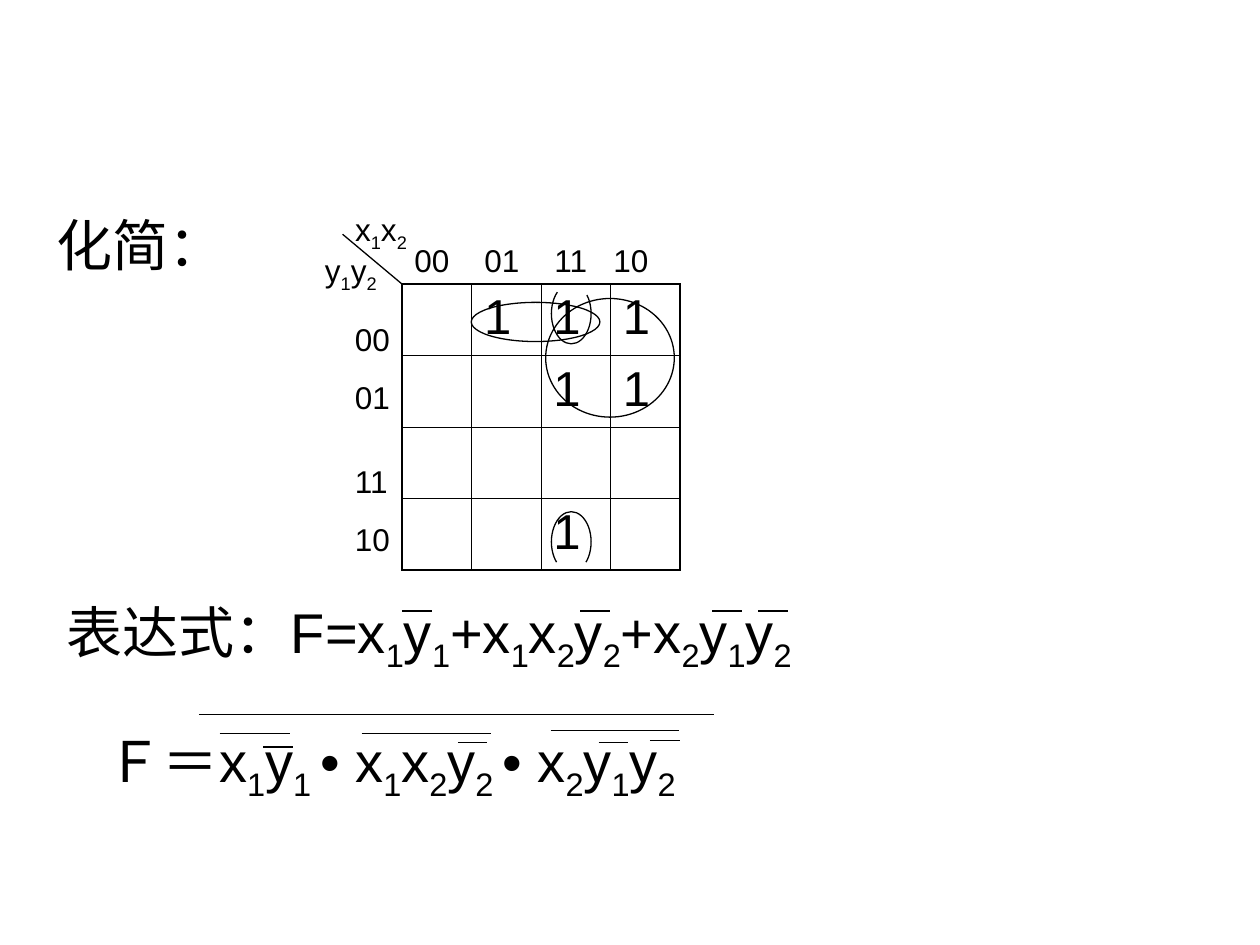
from lxml.etree import SubElement
from pptx import Presentation
from pptx.dml.color import RGBColor
from pptx.enum.shapes import MSO_CONNECTOR as Connector, MSO_SHAPE as Shape
from pptx.oxml.ns import qn
from pptx.util import Pt

COLORS = {"ink": "000000"}
FONT = "Arial"
INK = RGBColor.from_string(COLORS["ink"])
GRID_LEFT, GRID_TOP = 229.7, 162.3
CELL_WIDTH, CELL_HEIGHT = 39.7, 40.85
GRID_SIZE = 4
ONES = {(0, 1), (0, 2), (0, 3), (1, 2), (1, 3), (3, 2)}
THIN, THICK = 0.45, 1.08


def style_paragraph(paragraph, size):
    paragraph.font.size = Pt(size)
    paragraph.font.name = FONT
    paragraph.font.color.rgb = INK


def add_formula(paragraph, markup):
    for index, part in enumerate(markup.split("_")):
        if part:
            run = paragraph.add_run()
            run.text = part
            if index % 2:
                run._r.get_or_add_rPr().set("baseline", "-25000")


def add_tabs(paragraph, stops):
    tab_list = SubElement(paragraph._p.get_or_add_pPr(), qn("a:tabLst"))
    for stop in stops:
        SubElement(tab_list, qn("a:tab"), pos=str(Pt(stop)), algn="l")


def add_text(slide, left, top, width, height, size, lines, gaps=(), tabs=()):
    box = slide.shapes.add_textbox(Pt(left), Pt(top), Pt(width), Pt(height))
    frame = box.text_frame
    frame.word_wrap = True
    for index, line in enumerate(lines):
        paragraph = frame.add_paragraph() if index else frame.paragraphs[0]
        add_formula(paragraph, line)
        if index:
            paragraph.space_before = Pt(gaps[index - 1])
        if tabs:
            add_tabs(paragraph, tabs)
        style_paragraph(paragraph, size)


def add_line(slide, x1, y1, x2, y2):
    line = slide.shapes.add_connector(Connector.STRAIGHT, Pt(x1), Pt(y1), Pt(x2), Pt(y2))
    line.line.color.rgb = INK
    line.line.width = Pt(0.75)
    SubElement(line._element.spPr, qn("a:effectLst"))


def add_loop(slide, kind, left, top, width, height, angles=()):
    loop = slide.shapes.add_shape(kind, Pt(left), Pt(top), Pt(width), Pt(height))
    loop.shadow.inherit = False
    loop.fill.background()
    loop.line.color.rgb = INK
    loop.line.width = Pt(0.75)
    for index, degrees in enumerate(angles):
        loop.adjustments[index] = degrees * 0.6


def set_borders(cell, row, column):
    last = GRID_SIZE - 1
    outer = {"L": column == 0, "R": column == last, "T": row == 0, "B": row == last}
    properties = cell._tc.get_or_add_tcPr()
    for side, is_outer in outer.items():
        width = Pt(THICK if is_outer else THIN)
        border = SubElement(properties, qn(f"a:ln{side}"), w=str(width))
        fill = SubElement(border, qn("a:solidFill"))
        SubElement(fill, qn("a:srgbClr"), val=COLORS["ink"])


def add_karnaugh_map(slide):
    frame = slide.shapes.add_table(
        GRID_SIZE, GRID_SIZE, Pt(GRID_LEFT), Pt(GRID_TOP),
        Pt(GRID_SIZE * CELL_WIDTH), Pt(GRID_SIZE * CELL_HEIGHT))
    table = frame.table
    table.first_row = False
    table.horz_banding = False
    for index in range(GRID_SIZE):
        table.columns[index].width = Pt(CELL_WIDTH)
        table.rows[index].height = Pt(CELL_HEIGHT)
    for row in range(GRID_SIZE):
        for column in range(GRID_SIZE):
            cell = table.cell(row, column)
            set_borders(cell, row, column)
            cell.fill.background()
            if (row, column) in ONES:
                cell.text = "1"
                style_paragraph(cell.text_frame.paragraphs[0], 28)


def add_map_labels(slide):
    add_line(slide, 195.8, 133.9, GRID_LEFT, GRID_TOP)
    add_text(slide, 195.8, 116.6, 79, 32, 18, ["x_1_x_2"])
    add_text(slide, 178.6, 139.7, 79, 32, 18, ["y_1_y_2"])
    add_text(slide, GRID_LEFT, 133.9, 176, 29, 18, ["00\t01\t11\t10"], tabs=(40, 80, 113.7))
    add_text(slide, 195.8, 179.3, 45, 142, 18, ["00", "01", "11", "10"], gaps=(11.7, 26, 11.7))


def add_groups(slide):
    add_loop(slide, Shape.OVAL, 311.8, 170.6, 73.5, 67.8)
    add_loop(slide, Shape.OVAL, 269.3, 172.8, 73.5, 22.4)
    add_loop(slide, Shape.ARC, 315.1, 292.4, 22.7, 34.5, (126, 54))
    add_loop(slide, Shape.ARC, 315.1, 162, 22.7, 34.5, (310, 237))


def add_overbars(slide):
    short_bars = [(229.7, 349.2), (331.7, 349.2), (406.9, 349.2), (433.4, 349.2),
                  (150.4, 426.8), (261.6, 424.1), (342.1, 424.1), (371.4, 423.1)]
    long_bars = [(125.5, 419.3, 40), (206.7, 419, 74), (314.6, 417.3, 73.6),
                 (113.7, 408.2, 294.5)]
    for left, top, width in [(*bar, 16.9) for bar in short_bars] + long_bars:
        add_line(slide, left, top, left + width, top)


def main():
    presentation = Presentation()
    presentation.slide_width, presentation.slide_height = Pt(720), Pt(540)
    slide = presentation.slides.add_slide(presentation.slide_layouts[6])
    add_text(slide, 25.2, 116.6, 119, 46, 32, ["化简："])
    add_karnaugh_map(slide)
    add_map_labels(slide)
    add_groups(slide)
    add_text(slide, 31, 337.7, 675, 51, 32,
             ["表达式：F=x_1_y_1_+x_1_x_2_y_2_+x_2_y_1_y_2"])
    add_text(slide, 54, 411.8, 647, 51, 32,
             ["Ｆ＝x_1_y_1 _• x_1_x_2_y_2 _• x_2_y_1_y_2"])
    add_overbars(slide)
    presentation.save("out.pptx")


if __name__ == "__main__":
    main()
